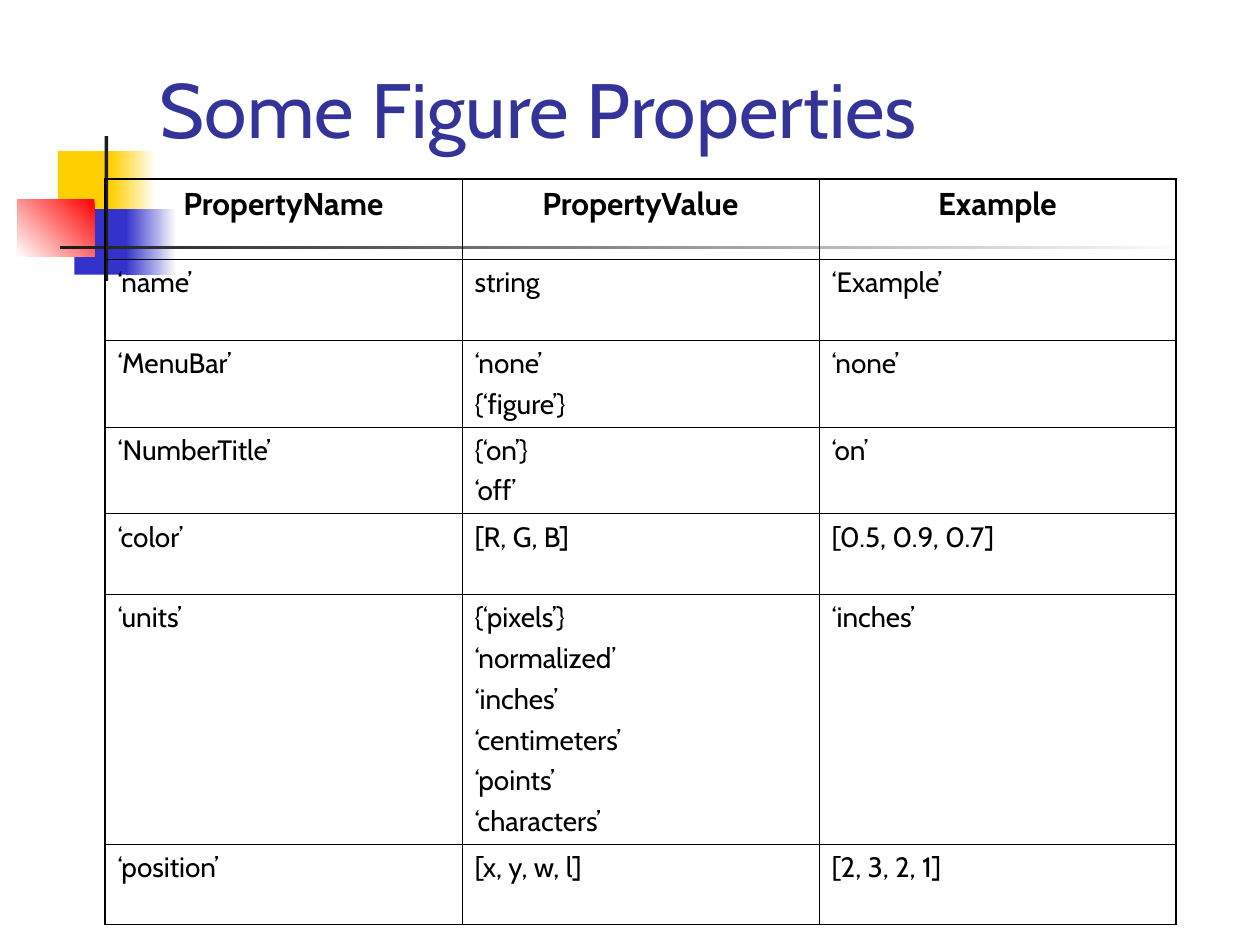
from lxml import etree
from pptx import Presentation
from pptx.dml.color import RGBColor
from pptx.enum.shapes import MSO_SHAPE
from pptx.enum.text import MSO_ANCHOR, PP_ALIGN
from pptx.oxml.ns import qn
from pptx.util import Inches, Pt

RECT = MSO_SHAPE.RECTANGLE
BOTTOM = MSO_ANCHOR.BOTTOM
LEFT, CENTER = PP_ALIGN.LEFT, PP_ALIGN.CENTER

WHITE = RGBColor(0xFF, 0xFF, 0xFF)
BLACK = RGBColor(0, 0, 0)
DARK = RGBColor(0x1C, 0x1C, 0x1C)
GOLD = RGBColor(0xFF, 0xCF, 0x01)
BLUE = RGBColor(0x33, 0x33, 0xCC)
RED = RGBColor(0xFF, 0, 0)
NAVY = RGBColor(0x33, 0x33, 0x99)

FONT = "Cabin"
WIDTH, HEIGHT = Inches(10), Inches(7.5)
THIN, THICK = Pt(0.45), Pt(1.08)

# Places are percent of the slide: left, top, width, height
TITLE_BOX = (11.7, -4.4, 85.2, 21.33)
TABLE_BOX = (8.33, 18.93, 85, 78.9)

# Place, colours from first to last, gradient angle
DECOR = [
    ((4.6, 16, 4.8, 6.93), [GOLD], 0),
    ((8.8, 16, 3.6, 6.93), [WHITE, GOLD], 180),
    ((5.9, 22.13, 4.6, 6.93), [BLUE], 0),
    ((10, 22.13, 4, 6.93), [WHITE, BLUE], 180),
    ((1.4, 21.07, 6.1, 6.13), [RED, WHITE], 225),
    ((8.3, 14.4, 0.3, 15.33), [DARK], 0),
    ((4.8, 26, 90, 0.4), [WHITE, DARK], 180),
]

# Each cell is a list of lines
ROWS = [
    (["PropertyName"], ["PropertyValue"], ["Example"]),
    (["‘name’"], ["string"], ["‘Example’"]),
    (["‘MenuBar’"], ["‘none’", "{‘figure’}"], ["‘none’"]),
    (["‘NumberTitle’"], ["{‘on’}", "‘off’"], ["‘on’"]),
    (["‘color’"], ["[R, G, B]"], ["[0.5, 0.9, 0.7]"]),
    (["‘units’"],
     ["{‘pixels’}", "‘normalized’", "‘inches’", "‘centimeters’",
      "‘points’", "‘characters’"],
     ["‘inches’"]),
    (["‘position’"], ["[x, y, w, l]"], ["[2, 3, 2, 1]"]),
]


def across(share):
    return int(WIDTH * share / 100)


def down(share):
    return int(HEIGHT * share / 100)


def place(box):
    left, top, width, height = box
    return across(left), down(top), across(width), down(height)


def add_run(para, text, size, color, bold=False):
    run = para.add_run()
    run.text = text
    font = run.font
    font.name, font.size, font.bold = FONT, Pt(size), bold
    font.color.rgb = color


def add_block(slide, box, colors, angle):
    shape = slide.shapes.add_shape(RECT, *place(box))
    shape.shadow.inherit = False
    shape.line.fill.background()
    fill = shape.fill
    if len(colors) == 1:
        fill.solid()
        fill.fore_color.rgb = colors[0]
        return
    fill.gradient()
    fill.gradient_angle = angle
    for stop, color in zip(fill.gradient_stops, colors):
        stop.color.rgb = color


def add_title(slide, text):
    frame = slide.shapes.add_textbox(*place(TITLE_BOX)).text_frame
    frame.word_wrap = True
    frame.vertical_anchor = BOTTOM
    add_run(frame.paragraphs[0], text, 44, NAVY)


def set_edges(cell, widths):
    """Draw the left, right, top and bottom borders, in that order."""
    props = cell._tc.get_or_add_tcPr()
    for pos, (side, width) in enumerate(zip("LRTB", widths)):
        line = etree.Element(qn(f"a:ln{side}"), w=str(int(width)))
        fill = etree.SubElement(line, qn("a:solidFill"))
        etree.SubElement(fill, qn("a:srgbClr"), val=str(BLACK))
        props.insert(pos, line)


def fill_cell(cell, lines, head):
    cell.fill.background()
    frame = cell.text_frame
    for i, text in enumerate(lines):
        para = frame.add_paragraph() if i else frame.paragraphs[0]
        para.alignment = CENTER if head else LEFT
        if i:
            para.space_before = Pt(4)
        add_run(para, text, 18 if head else 16, BLACK, head)


def add_grid(slide, rows):
    count, wide = len(rows), len(rows[0])
    table = slide.shapes.add_table(count, wide, *place(TABLE_BOX)).table
    table.first_row = table.horz_banding = False
    for col in table.columns:
        col.width = across(TABLE_BOX[2] / wide)
    for r, row in enumerate(rows):
        # Height follows the longest cell, with a least height
        most = max(len(lines) for lines in row)
        table.rows[r].height = down(max(8.53, 0.6 + 4.3 * most))
        for c, lines in enumerate(row):
            cell = table.cell(r, c)
            fill_cell(cell, lines, r == 0)
            outer = (c == 0, c == wide - 1, r == 0, r == count - 1)
            set_edges(cell, [THICK if edge else THIN for edge in outer])


def main():
    deck = Presentation()
    deck.slide_width, deck.slide_height = WIDTH, HEIGHT
    slide = deck.slides.add_slide(deck.slide_layouts[6])
    # Corner decoration
    for box, colors, angle in DECOR:
        add_block(slide, box, colors, angle)
    # Title and property table
    add_title(slide, "Some Figure Properties")
    add_grid(slide, ROWS)
    deck.save("out.pptx")


if __name__ == "__main__":
    main()
